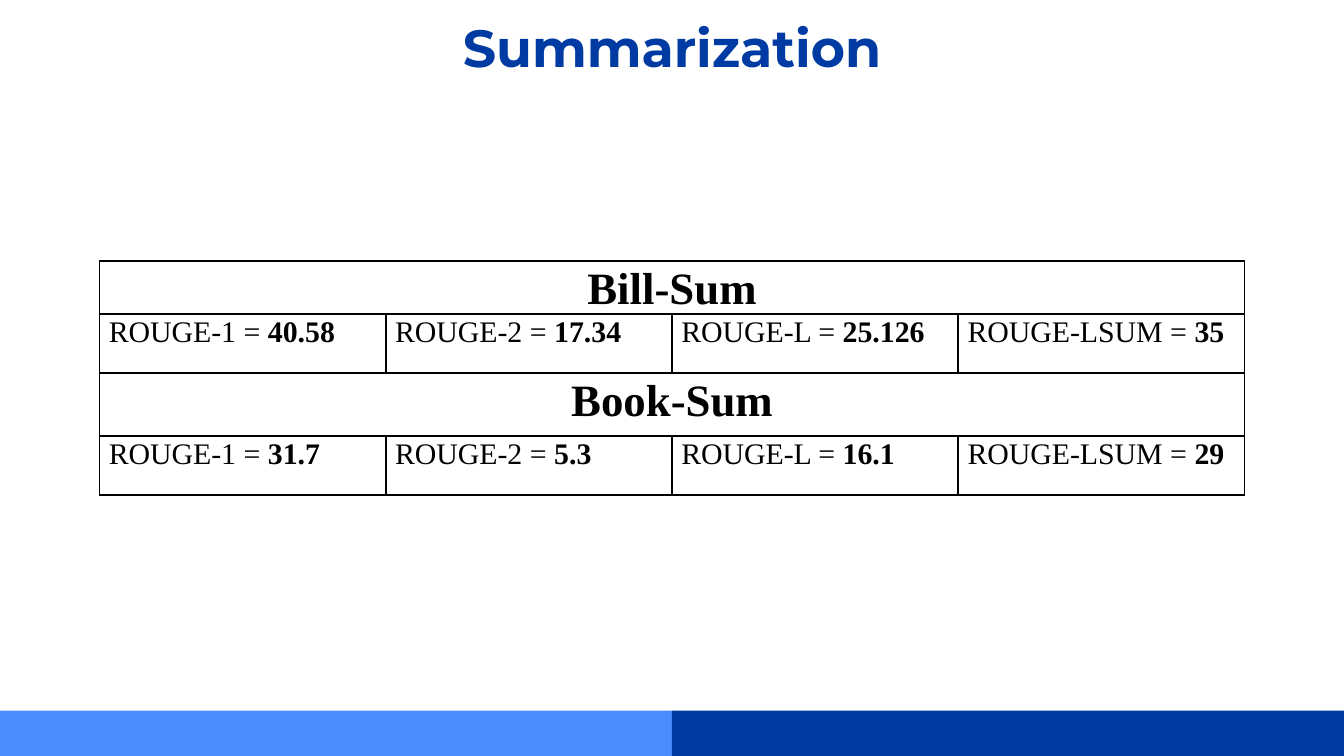
from dataclasses import dataclass

from lxml.etree import SubElement
from pptx import Presentation
from pptx.dml.color import RGBColor
from pptx.enum.shapes import MSO_SHAPE as Shape
from pptx.enum.text import MSO_ANCHOR as Anchor, PP_ALIGN as Align
from pptx.oxml.ns import qn
from pptx.util import Inches, Pt


@dataclass(frozen=True)
class Theme:
    navy: str = "003BA3"
    sky: str = "4A8CFF"
    black: str = "000000"
    title_font: str = "Montserrat"
    table_font: str = "Times New Roman"
    title_size: int = 28
    heading_size: int = 24
    score_size: int = 16


THEME = Theme()
WIDTH, HEIGHT = Inches(10), Inches(5.625)
METRICS = ["ROUGE-1", "ROUGE-2", "ROUGE-L", "ROUGE-LSUM"]
RESULTS = {
    "Bill-Sum": ["40.58", "17.34", "25.126", "35"],
    "Book-Sum": ["31.7", "5.3", "16.1", "29"],
}
ROW_HEIGHTS = [0.38, 0.44, 0.47, 0.44]


def style_run(r, font, size, color, bold):
    r.font.name = font
    r.font.size = Pt(size)
    r.font.bold = bold
    r.font.color.rgb = RGBColor.from_string(color)


def add_footer_bar(slide, colors):
    """Split the bottom band of the slide evenly among the colors."""
    top = int(HEIGHT * 0.94)
    width = WIDTH // len(colors)
    for i, color in enumerate(colors):
        sp = slide.shapes.add_shape(
            Shape.RECTANGLE, i * width, top, width, HEIGHT - top)
        sp.shadow.inherit = False
        sp.fill.solid()
        sp.fill.fore_color.rgb = RGBColor.from_string(color)
        sp.line.fill.background()


def set_title(slide, text):
    sp = slide.shapes.title
    sp.left, sp.top, sp.width, sp.height = 0, Inches(0.01), WIDTH, Inches(0.63)
    tf = sp.text_frame
    tf.text = text
    tf.vertical_anchor = Anchor.TOP
    tf.margin_left = tf.margin_right = Inches(0.1)
    tf.margin_top = tf.margin_bottom = Inches(0.1)
    p = tf.paragraphs[0]
    p.alignment = Align.CENTER
    style_run(p.runs[0], THEME.title_font, THEME.title_size, THEME.navy, True)


def add_borders(cell):
    tc_pr = cell._tc.get_or_add_tcPr()
    for side in ("a:lnL", "a:lnR", "a:lnT", "a:lnB"):
        ln = SubElement(tc_pr, qn(side), w=str(Pt(1)))
        fill = SubElement(ln, qn("a:solidFill"))
        SubElement(fill, qn("a:srgbClr"), val=THEME.black)


def format_cell(cell):
    cell.margin_left = cell.margin_right = Inches(0.07)
    cell.margin_top = cell.margin_bottom = 0
    add_borders(cell)
    cell.fill.background()


def write_cell(cell, parts, size, align):
    """Write (text, bold) parts as the runs of one paragraph."""
    p = cell.text_frame.paragraphs[0]
    p.alignment = align
    p.line_spacing = 1.07
    p.space_after = Pt(2)
    for text, bold in parts:
        r = p.add_run()
        r.text = text
        style_run(r, THEME.table_font, size, THEME.black, bold)


def add_score_table(slide):
    columns = len(METRICS)
    left = Inches(0.74)
    frame = slide.shapes.add_table(
        len(ROW_HEIGHTS), columns, left, Inches(1.94),
        WIDTH - 2 * left, Inches(sum(ROW_HEIGHTS)))
    table = frame.table
    table.first_row = table.horz_banding = False
    for row, height in zip(table.rows, ROW_HEIGHTS):
        row.height = Inches(height)
    for cell in table.iter_cells():
        format_cell(cell)

    # Each dataset takes a merged heading row and a row of scores
    for i, (dataset, scores) in enumerate(RESULTS.items()):
        heading = table.cell(2 * i, 0)
        heading.merge(table.cell(2 * i, columns - 1))
        write_cell(heading, [(dataset, True)], THEME.heading_size, Align.CENTER)
        for col, (metric, score) in enumerate(zip(METRICS, scores)):
            write_cell(table.cell(2 * i + 1, col),
                       [(f"{metric} = ", False), (score, True)],
                       THEME.score_size, Align.LEFT)


def main():
    prs = Presentation()
    prs.slide_width, prs.slide_height = WIDTH, HEIGHT
    slide = prs.slides.add_slide(prs.slide_layouts[5])
    add_footer_bar(slide, [THEME.sky, THEME.navy])
    set_title(slide, "Summarization")
    add_score_table(slide)
    prs.save("out.pptx")


if __name__ == "__main__":
    main()
